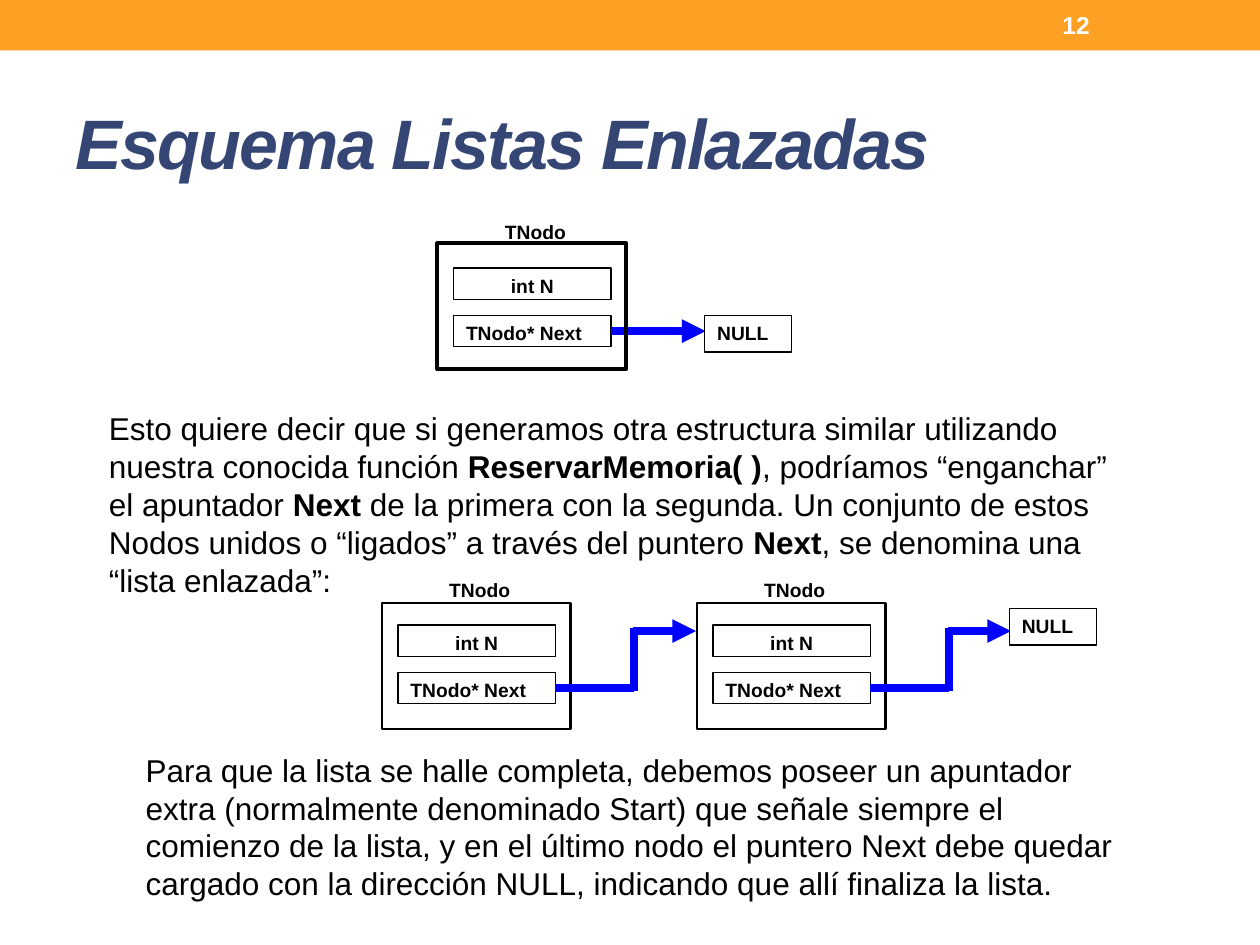
from lxml import etree
from pptx import Presentation
from pptx import util as u
from pptx.dml.color import RGBColor
from pptx.enum import shapes, text
from pptx.oxml import ns

Pt = u.Pt
ORANGE = RGBColor(0xFD, 0xA0, 0x23)
NAVY = RGBColor(0x35, 0x46, 0x75)
BLUE = RGBColor(0x00, 0x00, 0xFF)
BLACK = RGBColor(0x00, 0x00, 0x00)
WHITE = RGBColor(0xFF, 0xFF, 0xFF)
FONT = "Arial"
LEFT, CENTER = text.PP_ALIGN.LEFT, text.PP_ALIGN.CENTER
NODE_WIDTH, NODE_HEIGHT = 108, 72
FIELD_LEFT, FIELD_WIDTH, FIELD_HEIGHT = 9.2, 90, 18


def style(run, size, color=BLACK, bold=False, italic=False):
    font = run.font
    font.name, font.size, font.bold, font.italic = FONT, Pt(size), bold, italic
    font.color.rgb = color


def add_box(parent, left, top, width, height, label="", line=None, fill=None, align=LEFT):
    """Rectangle with an optional small bold label."""
    box = parent.add_shape(shapes.MSO_SHAPE.RECTANGLE, Pt(left), Pt(top), Pt(width), Pt(height))
    box.shadow.inherit = False
    if fill is None:
        box.fill.background()
    else:
        box.fill.solid()
        box.fill.fore_color.rgb = fill
    if line is None:
        box.line.fill.background()
    else:
        box.line.color.rgb, box.line.width = BLACK, Pt(line)
    if label:
        frame = box.text_frame
        frame.text = label
        frame.vertical_anchor = text.MSO_ANCHOR.TOP
        frame.paragraphs[0].alignment = align
        style(frame.paragraphs[0].runs[0], 11, bold=True)
    return box


def add_link(parent, x1, y1, x2, y2, arrow=False):
    """Thick blue line, with an arrowhead at its end if asked."""
    link = parent.add_connector(shapes.MSO_CONNECTOR.STRAIGHT, Pt(x1), Pt(y1), Pt(x2), Pt(y2))
    link.line.color.rgb, link.line.width = BLUE, Pt(4.5)
    if arrow:
        etree.SubElement(link.line._get_or_add_ln(), ns.qn("a:tailEnd"), type="triangle")
    etree.SubElement(link._element.spPr, ns.qn("a:effectLst"))


def add_fields(parent, left, top, fill=None):
    for label, offset, align in (("int N", 0, CENTER), ("TNodo* Next", 27, LEFT)):
        add_box(parent, left + FIELD_LEFT, top + offset, FIELD_WIDTH, FIELD_HEIGHT,
                label, 0.75, fill, align)


def add_null(parent, left, top):
    add_box(parent, left, top, 49.7, 20.9, "NULL", 0.75, WHITE)


def add_single_node(slide, left, top):
    """One node whose pointer leads straight to NULL."""
    parent = slide.shapes.add_group_shape().shapes
    pointer_y = top + 50.2
    field_right = left + FIELD_LEFT + FIELD_WIDTH
    add_fields(parent, left, top + 14.2, WHITE)
    add_box(parent, left + 20, top - 16.6, 72, 18, "TNodo", fill=WHITE, align=CENTER)
    add_link(parent, field_right, pointer_y, field_right + 54, pointer_y, True)
    add_box(parent, left, top, NODE_WIDTH, NODE_HEIGHT, line=2.25)
    add_null(parent, field_right + 53.5, top + 41.2)


def add_linked_list(slide, left, top, count=2, pitch=180):
    """Nodes in a row, each joined to the next and the last one to NULL."""
    parent = slide.shapes.add_group_shape().shapes
    lefts = [left + index * pitch for index in range(count)]
    for node_left in lefts:
        add_fields(parent, node_left, top + 12.4)
        add_box(parent, node_left, top, NODE_WIDTH, NODE_HEIGHT, line=1.5)
        add_box(parent, node_left + 20, top - 18, 72, 18, "TNodo", align=CENTER)
    low, high = top + 48.3, top + 15.9
    for node_left in lefts:
        bend = node_left + 144
        add_link(parent, node_left + FIELD_LEFT + FIELD_WIDTH, low, bend, low)
        add_link(parent, bend, low + 2, bend, high - 1.5)
        add_link(parent, bend - 0.5, high, bend + 35.5, high, True)
    add_null(parent, left + count * pitch - 1.4, top + 3)


def add_text(slide, left, top, width, height, parts, size=18, color=BLACK,
             anchor=text.MSO_ANCHOR.TOP):
    """Text box; parts are (wording, bold) pairs."""
    box = slide.shapes.add_textbox(Pt(left), Pt(top), Pt(width), Pt(height))
    frame = box.text_frame
    frame.word_wrap, frame.vertical_anchor = True, anchor
    for wording, bold in parts:
        run = frame.paragraphs[0].add_run()
        run.text = wording
        style(run, size, color, bold)


def add_header(slide, width):
    """Top band, page number and title."""
    add_box(slide.shapes, 0, 0, width, 28.8, fill=ORANGE)
    add_text(slide, 600, 1.4, 84, 26, [("12", True)], 14, WHITE, text.MSO_ANCHOR.MIDDLE)
    title = slide.shapes.title
    title.left, title.top, title.width, title.height = Pt(36), Pt(42), Pt(648), Pt(78)
    frame = title.text_frame
    frame.text = "Esquema Listas Enlazadas"
    frame.vertical_anchor = text.MSO_ANCHOR.MIDDLE
    frame.paragraphs[0].alignment = LEFT
    run = frame.paragraphs[0].runs[0]
    style(run, 40, NAVY, True, True)
    run.font._element.set("spc", "-100")


presentation = Presentation()
presentation.slide_width, presentation.slide_height = Pt(720), Pt(540)
slide = presentation.slides.add_slide(presentation.slide_layouts[5])

add_header(slide, 720)
add_text(slide, 55.2, 230.4, 595.5, 116.6, [
    ("Esto quiere decir que si generamos otra estructura similar utilizando "
     "nuestra conocida función ", False),
    ("ReservarMemoria( )", True),
    (", podríamos “enganchar” el apuntador ", False),
    ("Next", True),
    (" de la primera con la segunda. Un conjunto de estos Nodos unidos o “ligados” "
     "a través del puntero ", False),
    ("Next", True),
    (", se denomina una “lista enlazada”:", False),
])
add_text(slide, 76.2, 425.5, 584, 94.3, [
    ("Para que la lista se halle completa, debemos poseer un apuntador extra "
     "(normalmente denominado Start) que señale siempre el comienzo de la lista, "
     "y en el último nodo el puntero Next debe quedar cargado con la dirección NULL, "
     "indicando que allí finaliza la lista.", False),
])
add_single_node(slide, 250, 139)
add_linked_list(slide, 218.2, 344.7)

presentation.save("out.pptx")
